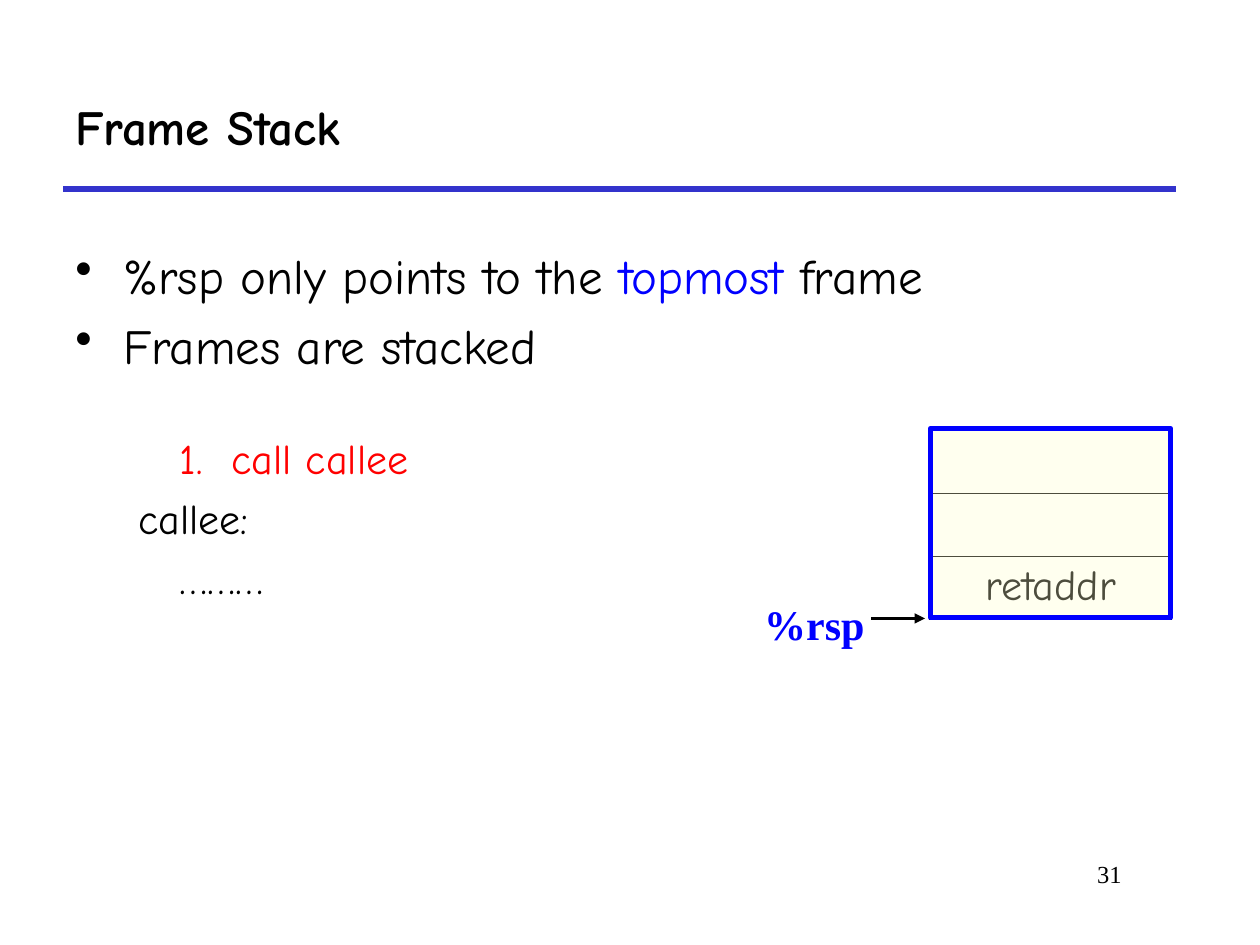
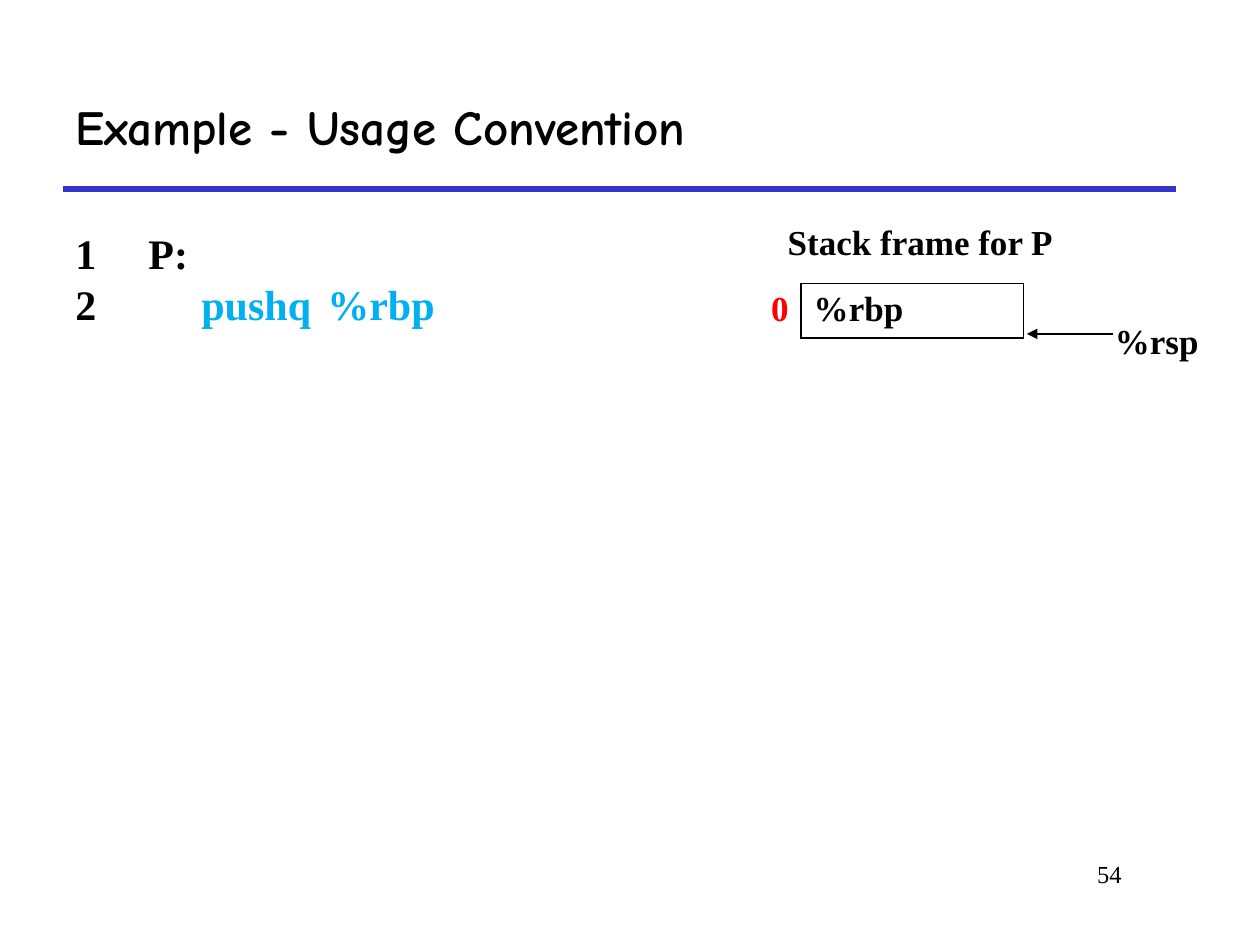
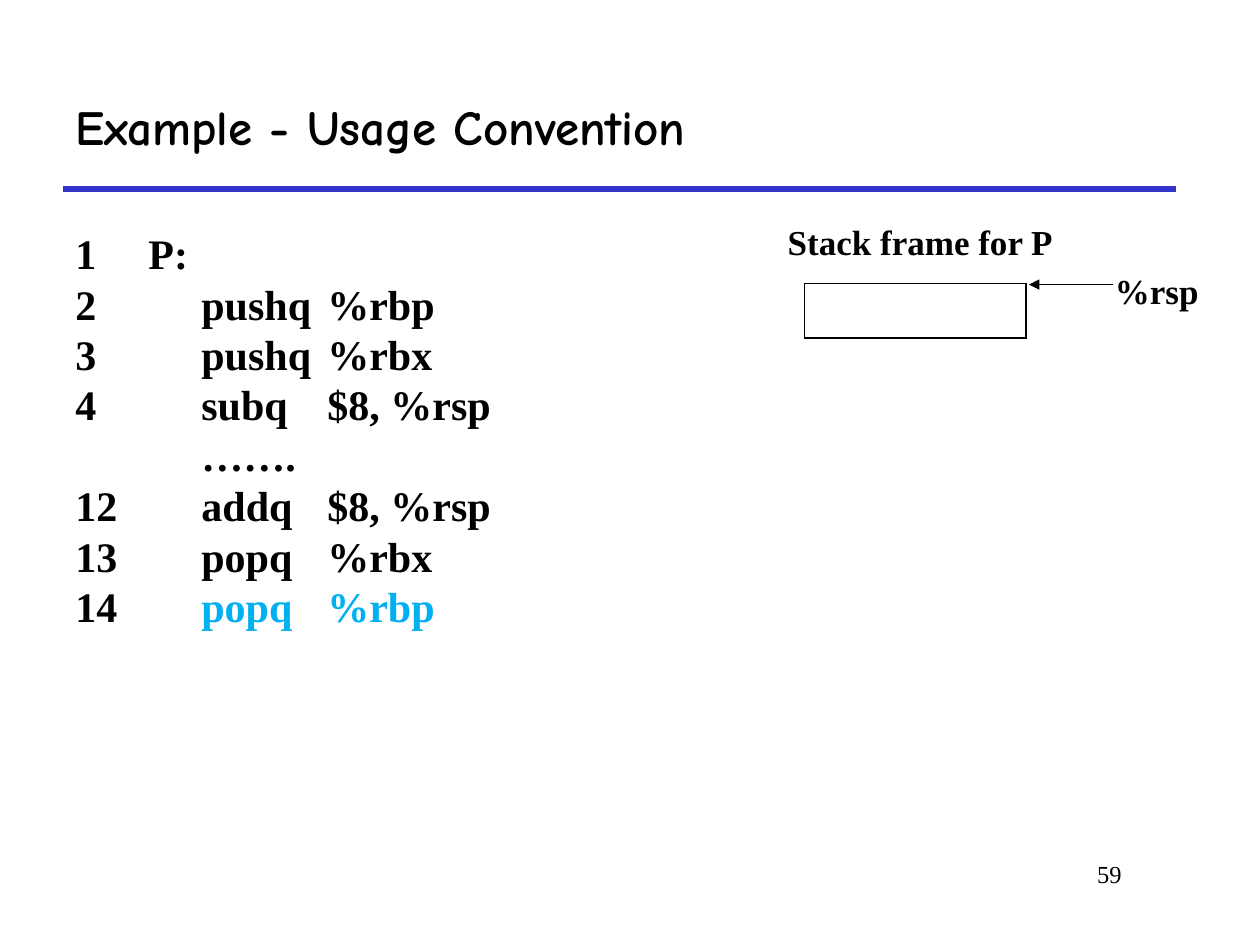
import dataclasses

import pptx
import pptx.dml.color
import pptx.enum.shapes
import pptx.enum.text
import pptx.oxml
import pptx.oxml.ns
import pptx.util

RGBColor = pptx.dml.color.RGBColor
BLACK = RGBColor(0x00, 0x00, 0x00)
BLUE = RGBColor(0x00, 0x00, 0xFF)
RED = RGBColor(0xFF, 0x00, 0x00)
SKY = RGBColor(0x00, 0xB0, 0xF0)
WHITE = RGBColor(0xFF, 0xFF, 0xFF)
CREAM = RGBColor(0xFF, 0xFF, 0xCC)
RULE_BLUE = RGBColor(0x33, 0x33, 0xCC)

HAND = "Comic Neue"
SERIF = "Times New Roman"
ALIGN = pptx.enum.text.PP_ALIGN
ANCHOR = pptx.enum.text.MSO_ANCHOR
COLUMNS, ROWS = 120, 90
WIDTH, HEIGHT = pptx.util.Inches(10), pptx.util.Inches(7.5)


@dataclasses.dataclass
class Box:
    """An area in grid columns and rows of the slide."""
    left: float
    top: float
    width: float
    height: float

    def area(self, left, top, width, height):
        return Box(self.left + left, self.top + top, width, height)

    def lengths(self):
        return (across(self.left), down(self.top),
                across(self.width), down(self.height))


def across(columns):
    return round(columns * WIDTH / COLUMNS)


def down(rows):
    return round(rows * HEIGHT / ROWS)


def drawing_element(tag, inner="", **attributes):
    listed = " ".join(f'{name}="{value}"' for name, value in attributes.items())
    return pptx.oxml.parse_xml(
        f'<a:{tag} {pptx.oxml.ns.nsdecls("a")} {listed}>{inner}</a:{tag}>')


def style(para, size, font, color=BLACK, bold=False):
    """Format every run, colouring those that have no colour yet."""
    for span in para.runs:
        span.font.size = pptx.util.Pt(size)
        span.font.name = font
        span.font.bold = bold
        if span.font.color.type is None:
            span.font.color.rgb = color


def add_spans(para, spans):
    for text, color in spans:
        span = para.add_run()
        span.text = text
        span.font.color.rgb = color


def add_frame(page, box, wrap=True):
    frame = page.shapes.add_textbox(*box.lengths()).text_frame
    frame.word_wrap = wrap
    return frame


def add_label(page, box, text, size, font, color=BLACK, bold=True,
              align=ALIGN.LEFT, anchor=ANCHOR.TOP, wrap=True):
    frame = add_frame(page, box, wrap)
    frame.vertical_anchor = anchor
    frame.text = text
    para = frame.paragraphs[0]
    para.alignment = align
    style(para, size, font, color, bold)


def add_line(page, start, end, color, width, arrow=False):
    line = page.shapes.add_connector(
        pptx.enum.shapes.MSO_CONNECTOR.STRAIGHT,
        across(start[0]), down(start[1]), across(end[0]), down(end[1]))
    line.line.color.rgb = color
    line.line.width = pptx.util.Pt(width)
    properties = line._element.spPr
    if arrow:
        properties.get_or_add_ln().append(drawing_element("tailEnd", type="triangle"))
    properties.append(drawing_element("effectLst"))


def add_table(page, box, widths, row_count):
    table = page.shapes.add_table(row_count, len(widths), *box.lengths()).table
    table.first_row = table.horz_banding = False
    for column, width in zip(table.columns, widths):
        column.width = across(width)
    for row in table.rows:
        row.height = down(box.height / row_count)
    return table


def set_borders(cell, **points):
    """Draw the named sides (L, R, T, B) in black and hide the others."""
    properties = cell._tc.get_or_add_tcPr()
    for index, side in enumerate("LRTB"):
        width = pptx.util.Pt(points.get(side, 0))
        paint = ('<a:solidFill><a:srgbClr val="000000"/></a:solidFill>'
                 if width else "<a:noFill/>")
        properties.insert(index, drawing_element(f"ln{side}", paint, w=int(width)))


def add_indent(para, margin, first, bullet=None):
    properties = para._p.get_or_add_pPr()
    properties.set("marL", str(int(pptx.util.Inches(margin))))
    properties.set("indent", str(int(pptx.util.Inches(first))))
    if bullet:
        properties.append(drawing_element("buChar", char=bullet))


def add_tabs(para, stops):
    marks = "".join(f'<a:tab pos="{int(pptx.util.Inches(stop))}" algn="l"/>'
                    for stop in stops)
    para._p.get_or_add_pPr().append(drawing_element("tabLst", marks))


def add_page(deck, title, number):
    page = deck.slides.add_slide(deck.slide_layouts[6])
    add_line(page, (6, 18), (112, 18), RULE_BLUE, 3)
    add_label(page, Box(6, 6, 106, 12), title, 28, HAND, anchor=ANCHOR.MIDDLE)
    add_label(page, Box(91, 81.2, 17, 6), str(number), 14, SERIF, bold=False,
              align=ALIGN.RIGHT)
    return page


def add_paragraphs(page, box, entries, size, gap):
    """Write (spans, margin, first indent, bullet) entries, one a paragraph."""
    frame = add_frame(page, box)
    for index, (spans, margin, first, bullet) in enumerate(entries):
        para = frame.add_paragraph() if index else frame.paragraphs[0]
        if index:
            para.space_before = pptx.util.Pt(gap)
        add_indent(para, margin, first, bullet)
        add_spans(para, spans)
        style(para, size, HAND)


def add_stack(page, box):
    """Three stack slots under a tinted frame, with the pointer at its foot."""
    table = add_table(page, box.area(0, 0.2, box.width, box.height), [box.width], 3)
    for row in range(3):
        cell = table.cell(row, 0)
        cell.fill.solid()
        cell.fill.fore_color.rgb = WHITE
        set_borders(cell, L=2.25, R=2.25, T=1, B=1)
    cell.text = "retaddr"
    para = cell.text_frame.paragraphs[0]
    para.alignment = ALIGN.CENTER
    style(para, 24, HAND)

    tint = page.shapes.add_shape(pptx.enum.shapes.MSO_SHAPE.RECTANGLE, *box.lengths())
    tint.shadow.inherit = False
    tint.fill.solid()
    tint.fill.fore_color.rgb = CREAM
    tint_color = tint._element.spPr.find(pptx.oxml.ns.qn("a:solidFill"))[0]
    tint_color.append(drawing_element("alpha", val=30000))
    tint.line.color.rgb = BLUE
    tint.line.width = pptx.util.Pt(3)

    add_label(page, box.area(-17, 15.6, 12.1, 6.1), "%rsp", 24, SERIF, BLUE, wrap=False)
    pointer_row = box.top + box.height + 0.1
    add_line(page, (box.left - 5.6, pointer_row), (box.left - 0.5, pointer_row),
             BLACK, 1.5, arrow=True)


def add_code(page, box, lines, highlighted):
    """Numbered assembly lines; the highlighted one is coloured after its number."""
    frame = add_frame(page, box)
    for index, (number, code) in enumerate(lines):
        para = frame.add_paragraph() if index else frame.paragraphs[0]
        para.line_spacing = pptx.util.Pt(28.8)
        add_tabs(para, (1, 2) if index else (0.58,))
        color = SKY if index == highlighted else BLACK
        add_spans(para, [(f"{number}\t", BLACK), (code, color)])
        style(para, 24, SERIF, bold=True)


def add_stack_frame(page, box, offset_width, texts, pointer_row):
    """Heading, one slot with its offset, and the pointer beside the slot."""
    add_label(page, Box(70, box.top - 6.6, 35.3, 5.2), "Stack frame for P", 20, SERIF,
              align=ALIGN.CENTER)
    table = add_table(page, box, [offset_width, box.width - offset_width], 1)
    offset, slot = table.cell(0, 0), table.cell(0, 1)
    set_borders(offset, R=1)
    set_borders(slot, L=1, R=1, T=1, B=1)
    for cell, text, color, align in ((offset, texts[0], RED, ALIGN.RIGHT),
                                     (slot, texts[1], BLACK, ALIGN.LEFT)):
        cell.fill.background()
        cell.text = text
        para = cell.text_frame.paragraphs[0]
        para.alignment = align
        style(para, 20, SERIF, color, bold=True)

    row = box.top + pointer_row
    add_label(page, Box(105, row - 2, 10.4, 5.3), "%rsp", 20, SERIF, wrap=False)
    add_line(page, (106, row), (box.left + box.width + 0.3, row), BLACK, 0.75, arrow=True)


def build_frame_stack(deck):
    page = add_page(deck, "Frame Stack", 31)
    add_stack(page, Box(88.6, 40.8, 22.9, 18))
    points = [
        ([("%rsp only points to the ", BLACK), ("topmost ", BLUE), ("frame", BLACK)],
         0.38, -0.38, "•"),
        ([("Frames are stacked", BLACK)], 0.38, -0.38, "•"),
    ]
    add_paragraphs(page, Box(6, 22.8, 100, 13.2), points, 28, 6.5)
    steps = [
        ([("1.\tcall callee", RED)], 1.24, -0.41, None),
        ([("callee:", BLACK)], 0.5, 0, None),
        ([("………", BLACK)], 0.83, 0, None),
    ]
    add_paragraphs(page, Box(6, 40.6, 60, 23), steps, 24, 5.6)


def build_usage(deck, number, lines, slot_box, offset_width, texts, pointer_row):
    page = add_page(deck, "Example - Usage Convention", number)
    add_code(page, Box(6, 21.1, 104, 61), lines, len(lines) - 1)
    add_stack_frame(page, slot_box, offset_width, texts, pointer_row)


def main():
    deck = pptx.Presentation()
    deck.slide_width, deck.slide_height = WIDTH, HEIGHT
    opening = [("1", "P:"), ("2", "pushq\t%rbp")]
    rest = [("3", "pushq\t%rbx"), ("4", "subq\t$8, %rsp"), ("", "……."),
            ("12", "addq\t$8, %rsp"), ("13", "popq\t%rbx"), ("14", "popq\t%rbp")]
    build_frame_stack(deck)
    build_usage(deck, 54, opening, Box(69, 27, 28.5, 5.2), 7.3, ("0", "%rbp"), 4.8)
    build_usage(deck, 59, opening + rest, Box(67.7, 27, 30, 5.2), 8.9, ("", ""), 0.1)
    deck.save("out.pptx")


if __name__ == "__main__":
    main()
